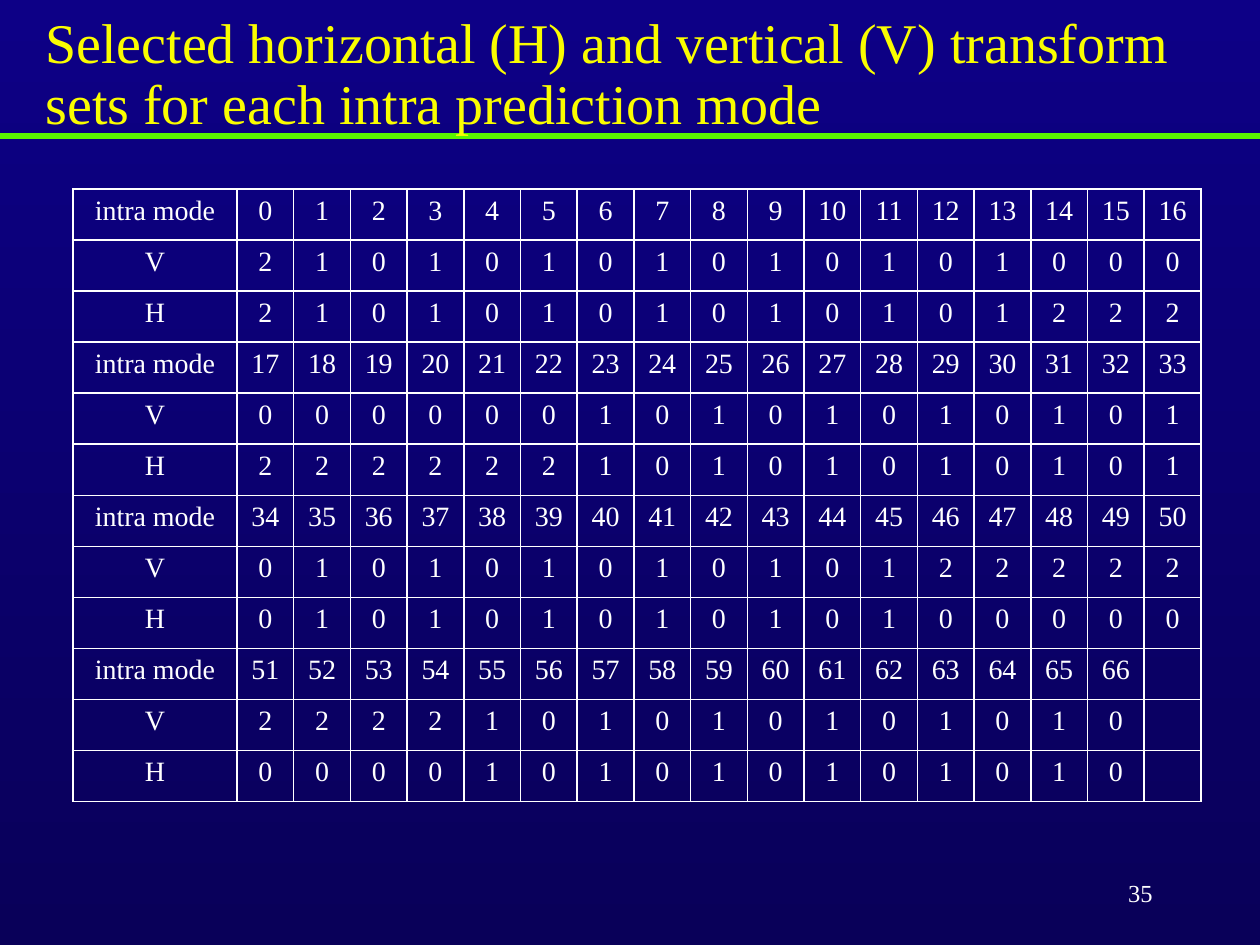
from dataclasses import dataclass

from lxml.etree import SubElement
from pptx import Presentation
from pptx.dml.color import RGBColor
from pptx.enum.shapes import MSO_CONNECTOR
from pptx.enum.text import MSO_ANCHOR, PP_ALIGN
from pptx.oxml import parse_xml
from pptx.oxml.ns import nsdecls, qn
from pptx.util import Pt

# Content
TITLE = "Selected horizontal (H) and vertical (V) transform sets for each intra prediction mode"
PAGE_NUMBER = "35"
MODES_PER_BAND = 17
# One digit per intra mode, one pair per band of modes
TRANSFORM_SETS = [
    {"V": "21010101010101000", "H": "21010101010101222"},
    {"V": "00000010101010101", "H": "22222210101010101"},
    {"V": "01010101010122222", "H": "01010101010100000"},
    {"V": "2222101010101010", "H": "0000101010101010"},
]


@dataclass(frozen=True)
class Theme:
    font: str = "Times New Roman"
    background_top: str = "0D0086"
    background_bottom: str = "090059"
    rule: str = "5AF400"
    title: str = "FAFD00"
    text: str = "FFFFFF"
    title_size: int = 32
    table_size: int = 16
    number_size: int = 14
    rule_width: int = 3
    border_width: int = 1


THEME = Theme()

# Layout in px
PX = 914400 / 126
SLIDE_WIDTH, SLIDE_HEIGHT = 1260, 945
RULE_Y = 136
TITLE_BOX = (33, 39, 1192, 74)
TABLE_BOX = (73, 189, 1128, 613)
LABEL_WIDTH = 164
NUMBER_BOX = (903, 861, 262, 63)


def emu(px):
    return round(px * PX)


def style(paragraph, size, color, align):
    paragraph.alignment = align
    paragraph.font.name = THEME.font
    paragraph.font.size = Pt(size)
    paragraph.font.color.rgb = RGBColor.from_string(color)


def add_text(slide, box, text, size, color, align):
    frame = slide.shapes.add_textbox(*map(emu, box)).text_frame
    frame.word_wrap = True
    frame.vertical_anchor = MSO_ANCHOR.MIDDLE
    paragraph = frame.paragraphs[0]
    paragraph.text = text
    style(paragraph, size, color, align)
    return paragraph


def add_borders(cell):
    properties = cell._tc.get_or_add_tcPr()
    for side in ("lnL", "lnR", "lnT", "lnB"):
        properties.append(parse_xml(
            f'<a:{side} {nsdecls("a")} w="{Pt(THEME.border_width)}"><a:solidFill>'
            f'<a:srgbClr val="{THEME.text}"/></a:solidFill></a:{side}>'))


def table_rows():
    for band, sets in enumerate(TRANSFORM_SETS):
        first = band * MODES_PER_BAND
        yield ["intra mode", *(str(first + i) for i in range(len(sets["V"])))]
        for direction, digits in sets.items():
            yield [direction, *digits]


def add_mode_table(slide):
    rows = list(table_rows())
    table = slide.shapes.add_table(len(rows), MODES_PER_BAND + 1, *map(emu, TABLE_BOX)).table
    table.first_row = table.horz_banding = False
    mode_width = (TABLE_BOX[2] - LABEL_WIDTH) / MODES_PER_BAND
    for c, column in enumerate(table.columns):
        column.width = emu(mode_width if c else LABEL_WIDTH)
    for r, values in enumerate(rows):
        table.rows[r].height = emu(TABLE_BOX[3] / len(rows))
        for c in range(MODES_PER_BAND + 1):
            cell = table.cell(r, c)
            add_borders(cell)
            cell.fill.background()
            if c < len(values):
                cell.text = values[c]
            style(cell.text_frame.paragraphs[0], THEME.table_size, THEME.text, PP_ALIGN.CENTER)


def main():
    deck = Presentation()
    deck.slide_width, deck.slide_height = emu(SLIDE_WIDTH), emu(SLIDE_HEIGHT)
    slide = deck.slides.add_slide(deck.slide_layouts[6])

    # Background, darker towards the bottom
    fill = slide.background.fill
    fill.gradient()
    fill.gradient_angle = 270
    for stop, color in zip(fill.gradient_stops, (THEME.background_top, THEME.background_bottom)):
        stop.color.rgb = RGBColor.from_string(color)

    # Rule under the title
    rule = slide.shapes.add_connector(
        MSO_CONNECTOR.STRAIGHT, 0, emu(RULE_Y), emu(SLIDE_WIDTH), emu(RULE_Y))
    rule.line.color.rgb = RGBColor.from_string(THEME.rule)
    rule.line.width = Pt(THEME.rule_width)
    SubElement(rule._element.spPr, qn("a:effectLst"))

    # Title, table and page number
    title = add_text(slide, TITLE_BOX, TITLE, THEME.title_size, THEME.title, PP_ALIGN.LEFT)
    title.line_spacing = 0.9
    add_mode_table(slide)
    add_text(slide, NUMBER_BOX, PAGE_NUMBER, THEME.number_size, THEME.text, PP_ALIGN.RIGHT)

    deck.save("out.pptx")


if __name__ == "__main__":
    main()
